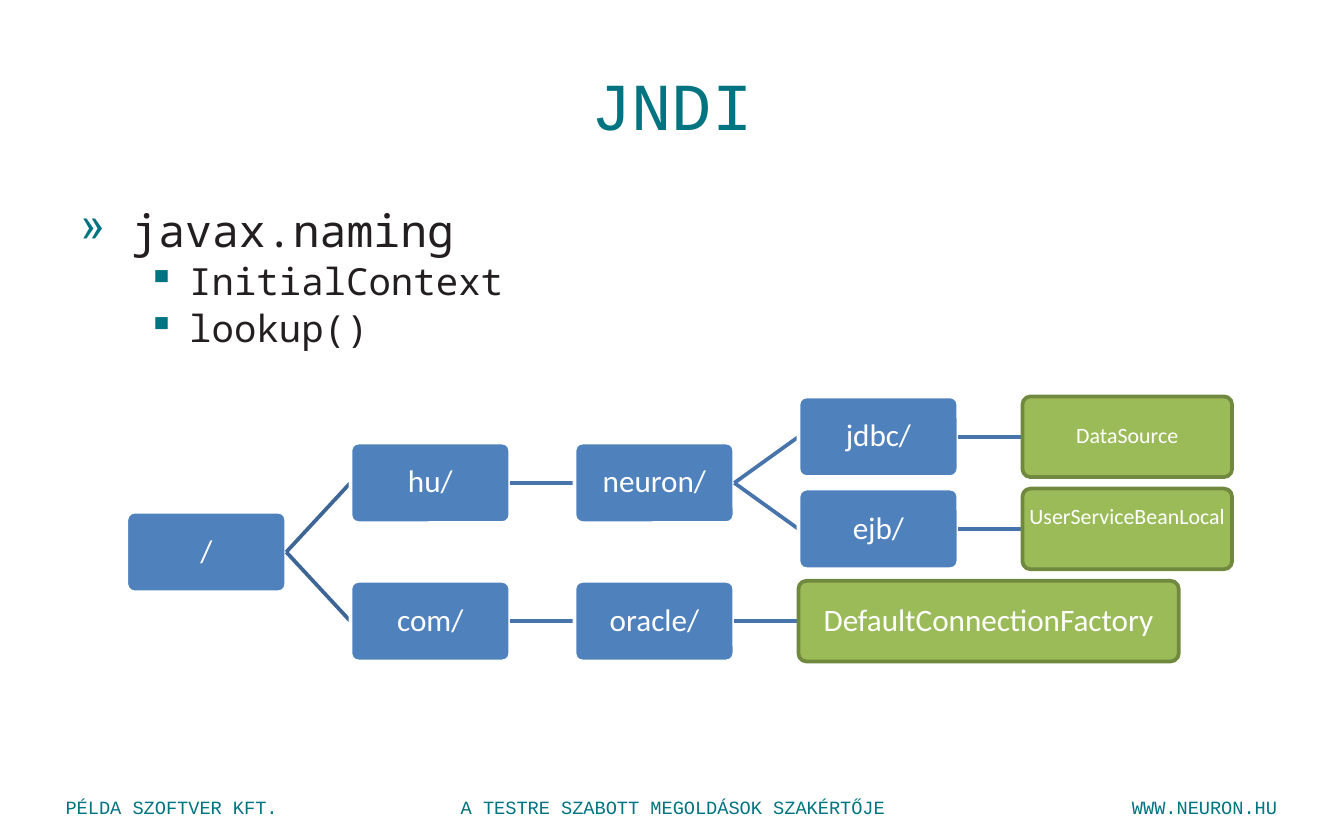
from lxml.etree import SubElement
from pptx import Presentation
from pptx.dml.color import RGBColor
from pptx.enum.shapes import MSO_CONNECTOR, MSO_SHAPE
from pptx.enum.text import MSO_ANCHOR, PP_ALIGN
from pptx.oxml.ns import qn
from pptx.util import Inches, Pt

WIDTH, HEIGHT = 10, 6.25
TEAL, INK, WHITE = "007480", "231F20", "FFFFFF"
FOLDER_FILL, LEAF_FILL, LEAF_LINE = "4F81BD", "9BBB59", "71893F"
ROOT_LINK, LINK = "3D6696", "4774AB"
LEFT, TOP = 0.94, 2.95
COLUMN_STEP, ROW_STEP = 1.667, 0.1715
NODE_WIDTH, NODE_HEIGHT = 1.19, 0.6

# Each node: label, column, row, children, and format for a leaf.
TREE = ("/", 0, 5, [
    ("hu/", 1, 2, [
        ("neuron/", 2, 2, [
            ("jdbc/", 3, 0, [
                ("DataSource", 4, 0, [], {"width": 1.56, "size": 11.7})]),
            ("ejb/", 3, 4, [
                ("UserServiceBeanLocal", 4, 4, [],
                 {"width": 1.56, "size": 11.7, "bottom": 0.2})]),
        ])]),
    ("com/", 1, 8, [
        ("oracle/", 2, 8, [
            ("DefaultConnectionFactory", 3, 8, [], {"width": 2.83})])]),
])


def colour(value):
    """Turn a hex string into a colour."""
    return RGBColor.from_string(value)


def write(para, text, *, size, font, ink, align=PP_ALIGN.LEFT):
    """Put formatted text into a paragraph."""
    para.alignment = align
    span = para.add_run()
    span.text = text
    span.font.size = Pt(size)
    span.font.name = font
    span.font.color.rgb = colour(ink)


def add_box(page, left, top, width, height, anchor=MSO_ANCHOR.TOP):
    """Add a wrapping text box and return its text frame."""
    box = page.shapes.add_textbox(Inches(left), Inches(top), Inches(width), Inches(height))
    box.text_frame.word_wrap = True
    box.text_frame.vertical_anchor = anchor
    return box.text_frame


def add_bullet(para, mark, margin, indent):
    """Give a paragraph a teal bullet with a hanging indent."""
    properties = para._p.get_or_add_pPr()
    properties.set("marL", str(Inches(margin)))
    properties.set("indent", str(-Inches(indent)))
    tint = SubElement(properties, qn("a:buClr"))
    SubElement(tint, qn("a:srgbClr")).set("val", TEAL)
    SubElement(properties, qn("a:buChar")).set("char", mark)


def add_list(page):
    """Add the package name and its two members."""
    frame = add_box(page, 0.05 * WIDTH, 1.46, 0.9 * WIDTH, 4.12)
    items = [("javax.naming", 0), ("InitialContext", 1), ("lookup()", 1)]
    styles = [("»", 0.38, 0.38, 24), ("▪", 0.81, 0.31, 20)]
    for index, (text, level) in enumerate(items):
        mark, margin, indent, size = styles[level]
        para = frame.add_paragraph() if index else frame.paragraphs[0]
        para.level = level
        para.space_before = Pt(1 if index else 0)
        add_bullet(para, mark, margin, indent)
        write(para, text, size=size, font="Noto Sans Mono", ink=INK)


def add_node(page, label, column, row, *, leaf, width=NODE_WIDTH, size=16.7, bottom=0.03):
    """Add one rounded box of the naming tree."""
    box = page.shapes.add_shape(
        MSO_SHAPE.ROUNDED_RECTANGLE,
        Inches(LEFT + column * COLUMN_STEP), Inches(TOP + row * ROW_STEP),
        Inches(width), Inches(NODE_HEIGHT))
    box.adjustments[0] = 0.1
    box.shadow.inherit = False
    box.fill.solid()
    box.fill.fore_color.rgb = colour(LEAF_FILL if leaf else FOLDER_FILL)
    box.line.color.rgb = colour(LEAF_LINE if leaf else WHITE)
    box.line.width = Pt(2)
    frame = box.text_frame
    frame.word_wrap = True
    frame.vertical_anchor = MSO_ANCHOR.MIDDLE
    frame.margin_left = frame.margin_right = frame.margin_top = Inches(0.03)
    frame.margin_bottom = Inches(bottom)
    frame.paragraphs[0].line_spacing = 0.9
    write(frame.paragraphs[0], label, size=size, font="Calibri", ink=WHITE,
          align=PP_ALIGN.CENTER)
    return box


def add_link(page, parent, ink):
    """Add a connector that starts at the right side of a node."""
    link = page.shapes.add_connector(MSO_CONNECTOR.STRAIGHT, 0, 0, 0, 0)
    link.line.color.rgb = colour(ink)
    link.line.width = Pt(2)
    SubElement(link._element.spPr, qn("a:effectLst"))
    link.begin_connect(parent, 3)
    return link


def add_branch(page, label, column, row, children, style=None):
    """Add a node, then each of its links with the branch behind it."""
    node = add_node(page, label, column, row, leaf=not children, **(style or {}))
    for child in children:
        link = add_link(page, node, LINK if column else ROOT_LINK)
        link.end_connect(add_branch(page, *child), 1)
    return node


def add_footer(page):
    """Add the three footer texts."""
    for text, left, width, align in [
            ("PÉLDA SZOFTVER KFT.", 0.39, 2.36, PP_ALIGN.LEFT),
            ("WWW.NEURON.HU", 7.24, 2.36, PP_ALIGN.RIGHT),
            ("A TESTRE SZABOTT MEGOLDÁSOK SZAKÉRTŐJE", 3.31, 3.39, PP_ALIGN.CENTER)]:
        frame = add_box(page, left, 5.87, width, 0.27)
        write(frame.paragraphs[0], text, size=10, font="Courier New", ink=TEAL, align=align)


def main():
    """Build and save the slide."""
    deck = Presentation()
    deck.slide_width, deck.slide_height = Inches(WIDTH), Inches(HEIGHT)
    page = deck.slides.add_slide(deck.slide_layouts[6])
    add_footer(page)
    title = add_box(page, 0.05 * WIDTH, 0.04 * HEIGHT, 0.9 * WIDTH, 1.04, MSO_ANCHOR.MIDDLE)
    write(title.paragraphs[0], "JNDI", size=36, font="Courier New", ink=TEAL,
          align=PP_ALIGN.CENTER)
    add_list(page)
    add_branch(page, *TREE)
    deck.save("out.pptx")


if __name__ == "__main__":
    main()
